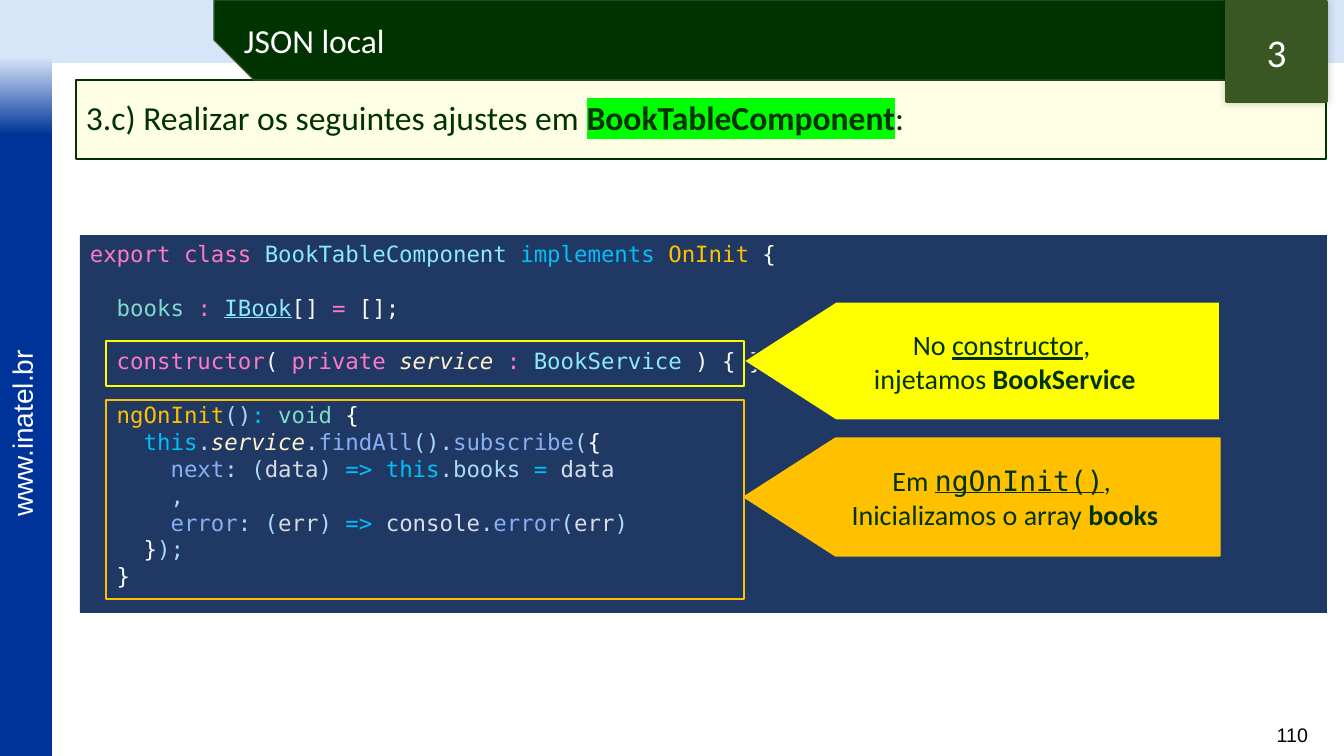
from dataclasses import dataclass

from lxml import etree
from pptx import Presentation
from pptx.dml.color import RGBColor
from pptx.enum.shapes import MSO_SHAPE
from pptx.enum.text import MSO_ANCHOR, PP_ALIGN
from pptx.oxml.ns import qn
from pptx.util import Emu, Pt

RECT, TAB = MSO_SHAPE.RECTANGLE, MSO_SHAPE.SNIP_2_DIAG_RECTANGLE
FRAME, ARROW = MSO_SHAPE.ROUND_1_RECTANGLE, MSO_SHAPE.PENTAGON
TOP, MIDDLE = MSO_ANCHOR.TOP, MSO_ANCHOR.MIDDLE
LEFT, CENTER, RIGHT = PP_ALIGN.LEFT, PP_ALIGN.CENTER, PP_ALIGN.RIGHT
EMU_PER_PX = 914400 / 100.8
BOLD, ITALIC, UNDERLINE = {"bold": True}, {"italic": True}, {"underline": True}


@dataclass(frozen=True)
class Theme:
    """Colours, fonts and type sizes of the slide."""
    sky: str = "D7E5F9"
    blue: str = "003399"
    navy: str = "203864"
    forest: str = "003300"
    olive: str = "385723"
    yellow: str = "FFFF00"
    amber: str = "FFC000"
    lime: str = "00FF00"
    white: str = "FFFFFF"
    black: str = "000000"
    pink: str = "FF79C6"
    cyan: str = "8BE9FD"
    azure: str = "00BFF9"
    ivory: str = "F8F8F2"
    mint: str = "7FDBCA"
    cream: str = "FFF2CC"
    ice: str = "A7DBF7"
    periwinkle: str = "87AFF4"
    silver: str = "D7DBE0"
    mist: str = "D6DEEB"
    body: str = "Calibri"
    plain: str = "Arial"
    mono: str = "DejaVu Sans Mono"
    page_size: int = 14
    code_size: int = 16
    note_size: int = 20
    title_size: int = 24
    badge_size: int = 28
    code_pitch: float = 19.2


def px(length):
    """Turn whole pixels into EMU."""
    return Emu(round(length * EMU_PER_PX))


def rgb(value):
    """Turn a hex string into a colour."""
    return RGBColor.from_string(value)


def add_xml(parent, tag, **attributes):
    """Append a drawing element with its attributes."""
    return etree.SubElement(parent, qn(tag), attributes)


class SlideBuilder:
    """Draws styled elements on the current slide."""

    def __init__(self, slide, theme):
        """Keep the slide and its theme."""
        self.slide, self.theme = slide, theme

    def shape(self, box, kind=RECT, fill=None, line=None, width=1, adjust=()):
        """Add a preset shape without the default style."""
        shape = self.slide.shapes.add_shape(kind, *map(px, box))
        shape.shadow.inherit = False
        for index, value in enumerate(adjust):
            shape.adjustments[index] = value
        if fill:
            shape.fill.solid()
            shape.fill.fore_color.rgb = rgb(fill)
        else:
            shape.fill.background()
        if line:
            shape.line.color.rgb = rgb(line)
            shape.line.width = Pt(width)
        else:
            shape.line.fill.background()
        return shape

    def fade(self, box, start, end):
        """Add a rectangle that blends downwards between two colours."""
        band = self.shape(box)
        band.fill.gradient()
        band.fill.gradient_angle = 270
        for stop, colour in zip(band.fill.gradient_stops, (start, end)):
            stop.color.rgb = rgb(colour)

    def translucent(self, shape, percent):
        """Set the opacity of a solid fill."""
        colour = shape._element.spPr.find(qn("a:solidFill"))[0]
        add_xml(colour, "a:alpha", val=str(percent * 1000))

    def glow_shadow(self, shape, percent, blur):
        """Give a shape a soft outer shadow."""
        effects = shape._element.spPr.find(qn("a:effectLst"))
        shadow = add_xml(effects, "a:outerShdw", blurRad=str(Pt(blur)), dist="0",
                         dir="13500000", algn="ctr", rotWithShape="0")
        colour = add_xml(shadow, "a:srgbClr", val=self.theme.black)
        add_xml(colour, "a:alpha", val=str(percent * 1000))

    def label(self, box):
        """Add an empty text box."""
        return self.slide.shapes.add_textbox(*map(px, box))

    def put_text(self, shape, lines, size, font, align=LEFT, anchor=MIDDLE, spacing=None, gaps=()):
        """Fill a shape with lines of (text, colour, format) runs."""
        frame = shape.text_frame
        frame.word_wrap, frame.vertical_anchor = True, anchor
        for index, runs in enumerate(lines):
            paragraph = frame.paragraphs[0] if index == 0 else frame.add_paragraph()
            paragraph.alignment, paragraph.line_spacing = align, spacing
            if index in gaps:
                paragraph.space_before = spacing
            for text, colour, *extra in runs:
                run = paragraph.add_run()
                run.text = text
                values = {"size": Pt(size), "name": font, **(extra[0] if extra else {})}
                highlight = values.pop("highlight", None)
                for name, value in values.items():
                    setattr(run.font, name, value)
                run.font.color.rgb = rgb(colour)
                if highlight:
                    mark = add_xml(run._r.rPr, "a:highlight")
                    add_xml(mark, "a:srgbClr", val=highlight)
                    run._r.rPr.find(qn("a:solidFill")).addnext(mark)

    def callout(self, top, fill, line, lines):
        """Add an arrow note that points left at the code."""
        t = self.theme
        note = self.shape((744, top, 476, 118), ARROW, fill, line, adjust=[0.777])
        note._element.spPr.xfrm.set("flipH", "1")
        self.put_text(note, lines, t.note_size, t.body, CENTER)


def code_lines(t):
    """Return the coloured lines of the class."""
    return [
        [("export class ", t.pink), ("BookTableComponent ", t.cyan), ("implements ", t.azure),
         ("OnInit", t.amber), (" {", t.ivory)],
        [("  books ", t.mint), (": ", t.pink), ("IBook", t.cyan, UNDERLINE), ("[] ", t.ivory),
         ("=", t.pink), (" [];", t.ivory)],
        [("  constructor", t.pink), ("( ", t.ivory), ("private ", t.pink),
         ("service ", t.cream, ITALIC), (": ", t.pink), ("BookService", t.cyan),
         (" ) { }", t.ivory)],
        [("  ngOnInit", t.amber), ("()", t.ice), (": ", t.azure), ("void ", t.mint),
         ("{", t.white)],
        [("    this", t.azure), (".", t.ice), ("service", t.cream, ITALIC), (".", t.ice),
         ("findAll", t.periwinkle), ("().", t.ice), ("subscribe", t.periwinkle),
         ("(", t.ice), ("{", t.white)],
        [("      next", t.periwinkle), (": (", t.ice), ("data", t.silver), (") ", t.ice),
         ("=> this", t.azure), (".books ", t.ice), ("= ", t.azure), ("data", t.mist)],
        [("      ,", t.ice)],
        [("      error", t.periwinkle), (": (", t.ice), ("err", t.silver), (") ", t.ice),
         ("=> ", t.azure), ("console", t.mist), (".", t.ice), ("error", t.periwinkle),
         ("(", t.ice), ("err", t.mist), (")", t.ice)],
        [("    }", t.white), (");", t.ice)],
        [("  }", t.white)],
    ]


def main():
    """Build and save the slide."""
    deck = Presentation()
    deck.slide_width, deck.slide_height = px(1344), px(756)
    t = Theme()
    page = SlideBuilder(deck.slides.add_slide(deck.slide_layouts[6]), t)

    page.shape((0, 0, 1344, 63), fill=t.sky)
    page.shape((0, 117, 52, 639), fill=t.blue)
    page.fade((0, 57, 52, 78), t.sky, t.blue)
    site = page.label((-73, 412, 189, 43))
    site.rotation = 270
    site.text_frame.margin_left = site.text_frame.margin_right = 0
    page.put_text(site, [[("www.inatel.br", t.white)]], t.note_size, t.plain, CENTER, TOP)
    page.put_text(page.label((1252, 718, 66, 34)), [[("110", t.black)]],
                  t.page_size, t.plain, RIGHT, TOP)

    code = page.shape((80, 235, 1247, 378), fill=t.navy)
    page.put_text(code, code_lines(t), t.code_size, t.mono, anchor=TOP,
                  spacing=Pt(t.code_pitch), gaps=(1, 2, 3))

    task = page.shape((76, 80, 1250, 79), fill=t.yellow, line=t.forest)
    page.translucent(task, 10)
    page.put_text(task, [[("3.c) Realizar os seguintes ajustes em ", t.forest),
                          ("BookTableComponent", t.forest, {**BOLD, "highlight": t.lime}),
                          (":", t.forest)]], t.title_size, t.body, spacing=0.9)
    title = page.shape((214, 0, 1112, 80), TAB, t.forest, t.olive, adjust=(0, 0.5))
    page.put_text(title, [[("JSON local", t.white)]], t.title_size, t.body)

    page.shape((106, 400, 638, 199), FRAME, line=t.amber, width=1.5, adjust=[0])
    badge = page.shape((1227, 2, 99, 99), fill=t.olive, line=t.olive, width=3)
    page.glow_shadow(badge, 20, 6)
    page.put_text(badge, [[("3", t.white)]], t.badge_size, t.body, CENTER)
    page.callout(302, t.yellow, t.navy, [
        [("No ", t.forest), ("constructor", t.forest, UNDERLINE), (", ", t.forest)],
        [("injetamos ", t.forest), ("BookService", t.forest, BOLD)]])
    page.shape((106, 341, 638, 45), FRAME, line=t.yellow, width=1.5, adjust=[0])
    page.callout(438, t.amber, t.amber, [
        [("Em ", t.forest), ("ngOnInit()", t.forest, {**UNDERLINE, "name": t.mono}),
         (", ", t.forest)],
        [("Inicializamos o array ", t.forest), ("books", t.forest, BOLD)]])
    deck.save("out.pptx")


if __name__ == "__main__":
    main()
